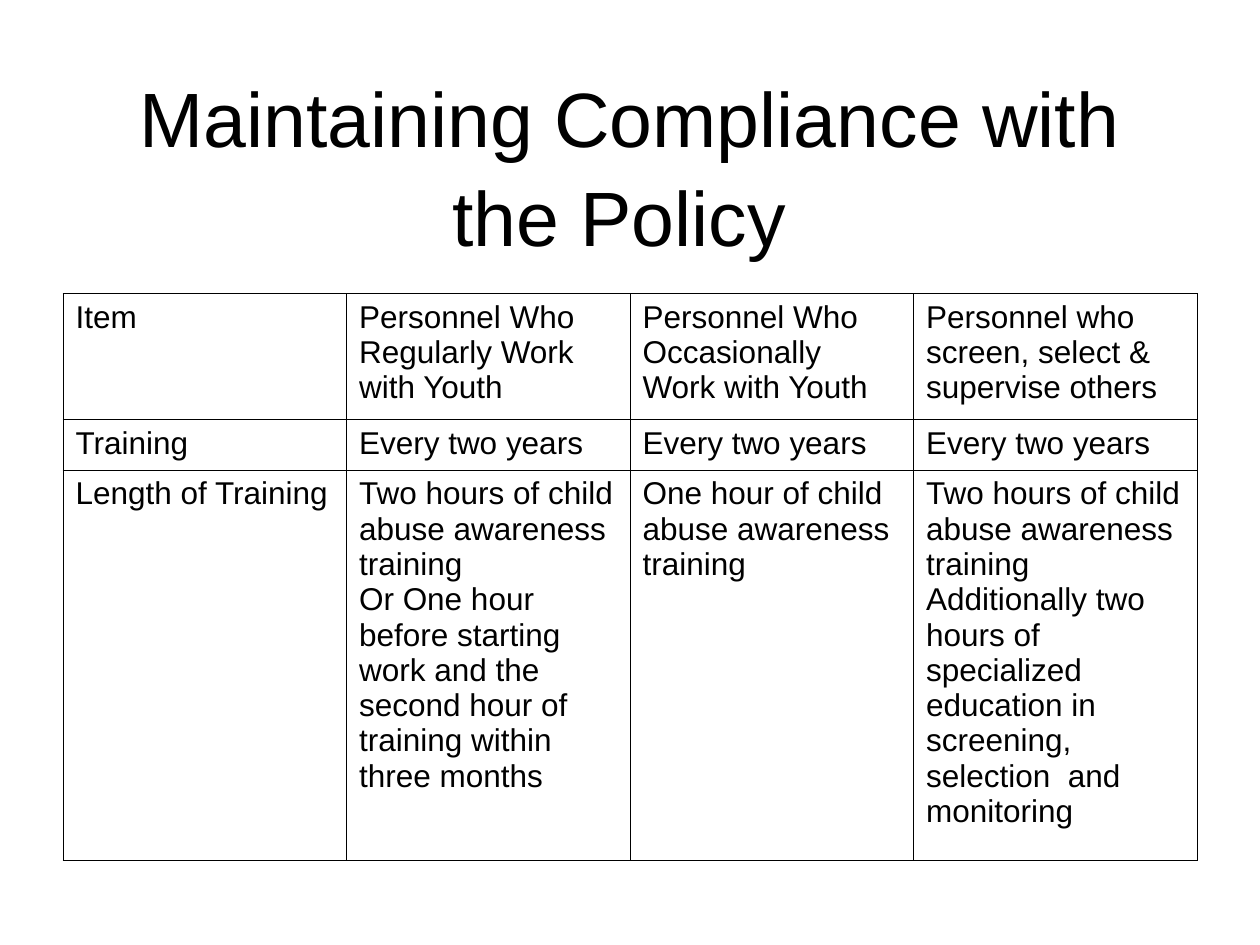
"""Build the policy compliance slide with its training table."""
from lxml.etree import SubElement
from pptx import Presentation
from pptx.dml.color import RGBColor
from pptx.enum.text import MSO_ANCHOR, PP_ALIGN
from pptx.oxml.ns import qn
from pptx.util import Inches, Pt

COLORS = {"text": "000000", "border": "000000"}
ROW_HEIGHTS = [1, 0.4, 3.1]
COL_WIDTH = 2.25
ROWS = [
    ["Item", "Personnel Who Regularly Work with Youth",
     "Personnel Who Occasionally Work with Youth",
     "Personnel who screen, select & supervise others"],
    ["Training"] + ["Every two years"] * 3,
    ["Length of Training",
     "Two hours of child abuse awareness training\n"
     "Or One hour before starting work and the second hour of training within three months",
     "One hour of child abuse awareness training",
     "Two hours of child abuse awareness training\n"
     "Additionally two hours of specialized education in screening, selection  and monitoring"],
]


def style_text(tf, size):
    for p in tf.paragraphs:
        p.font.name = "Arial"
        p.font.size = Pt(size)
        p.font.color.rgb = RGBColor.from_string(COLORS["text"])


def style_cell(cell):
    tc_pr = cell._tc.get_or_add_tcPr()
    for side in ("a:lnL", "a:lnR", "a:lnT", "a:lnB"):
        ln = SubElement(tc_pr, qn(side), w=str(Pt(0.45)))
        fill = SubElement(ln, qn("a:solidFill"))
        SubElement(fill, qn("a:srgbClr"), val=COLORS["border"])
    cell.fill.background()


prs = Presentation()
prs.slide_width, prs.slide_height = Inches(10), Inches(7.5)
s = prs.slides.add_slide(prs.slide_layouts[6])

title = s.shapes.add_textbox(Inches(0.5), Inches(0.67), Inches(9), Inches(1.25))
tf = title.text_frame
tf.word_wrap = True
tf.vertical_anchor = MSO_ANCHOR.MIDDLE
tf.text = "Maintaining Compliance with the Policy "
p = tf.paragraphs[0]
p.alignment = PP_ALIGN.CENTER
p.line_spacing = 1.07
style_text(tf, 44)

table = s.shapes.add_table(
    len(ROWS), len(ROWS[0]), Inches(0.5), Inches(2.33),
    Inches(COL_WIDTH * len(ROWS[0])), Inches(sum(ROW_HEIGHTS))).table
table.first_row = False
table.horz_banding = False
for col in table.columns:
    col.width = Inches(COL_WIDTH)
for row, height, texts in zip(table.rows, ROW_HEIGHTS, ROWS):
    row.height = Inches(height)
    for cell, text in zip(row.cells, texts):
        cell.text = text
        style_text(cell.text_frame, 18)
        style_cell(cell)

prs.save("out.pptx")
